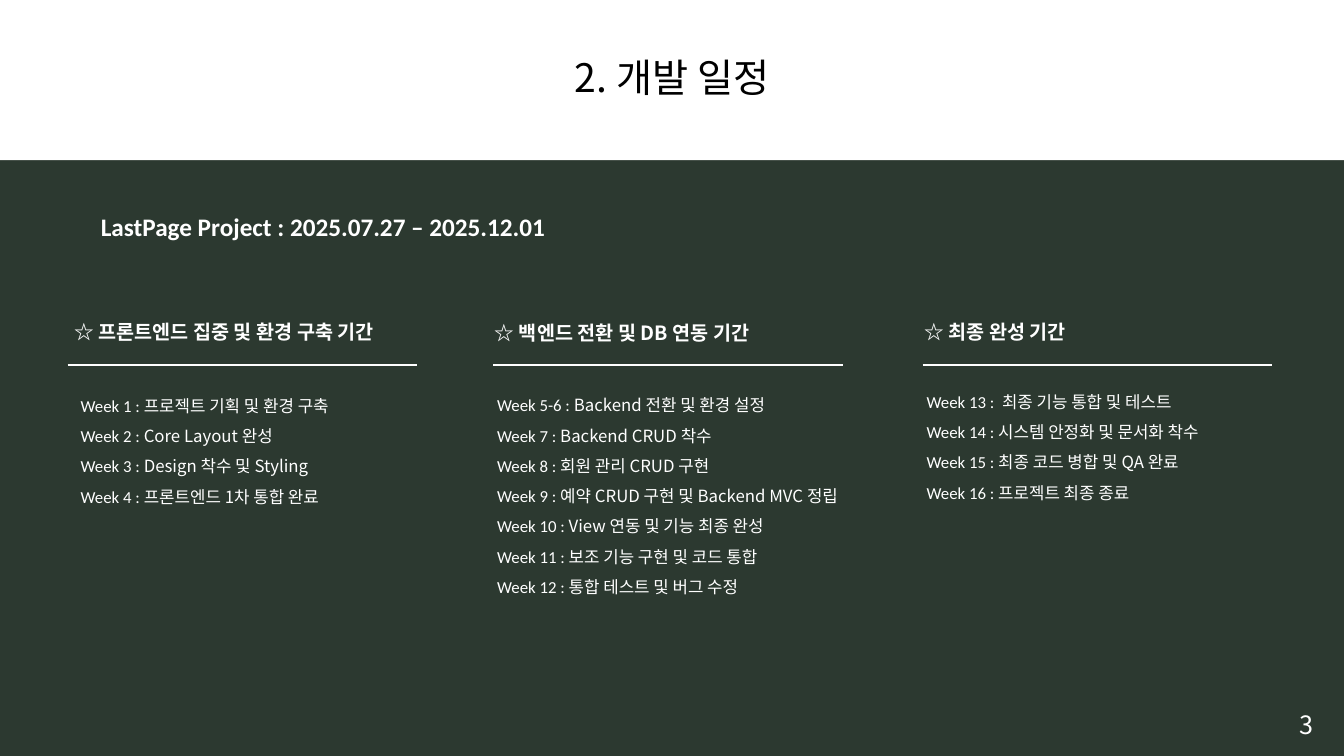
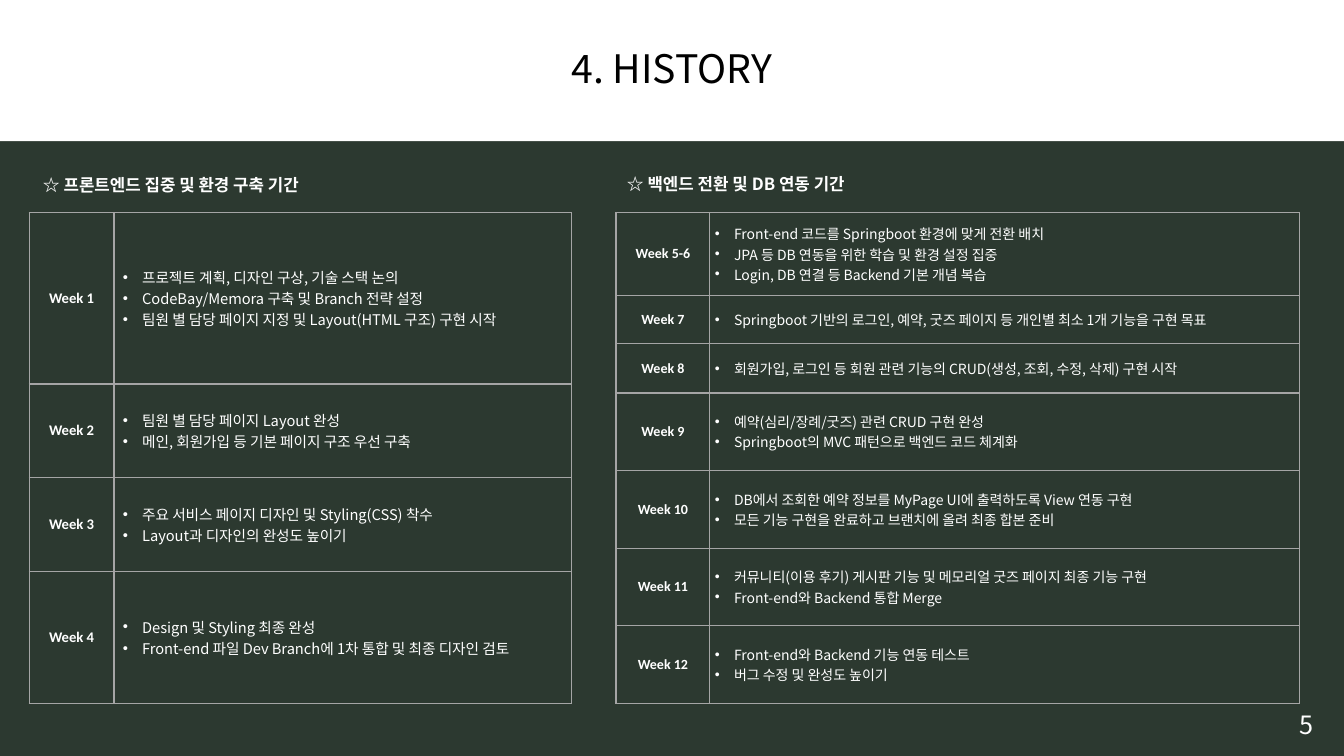
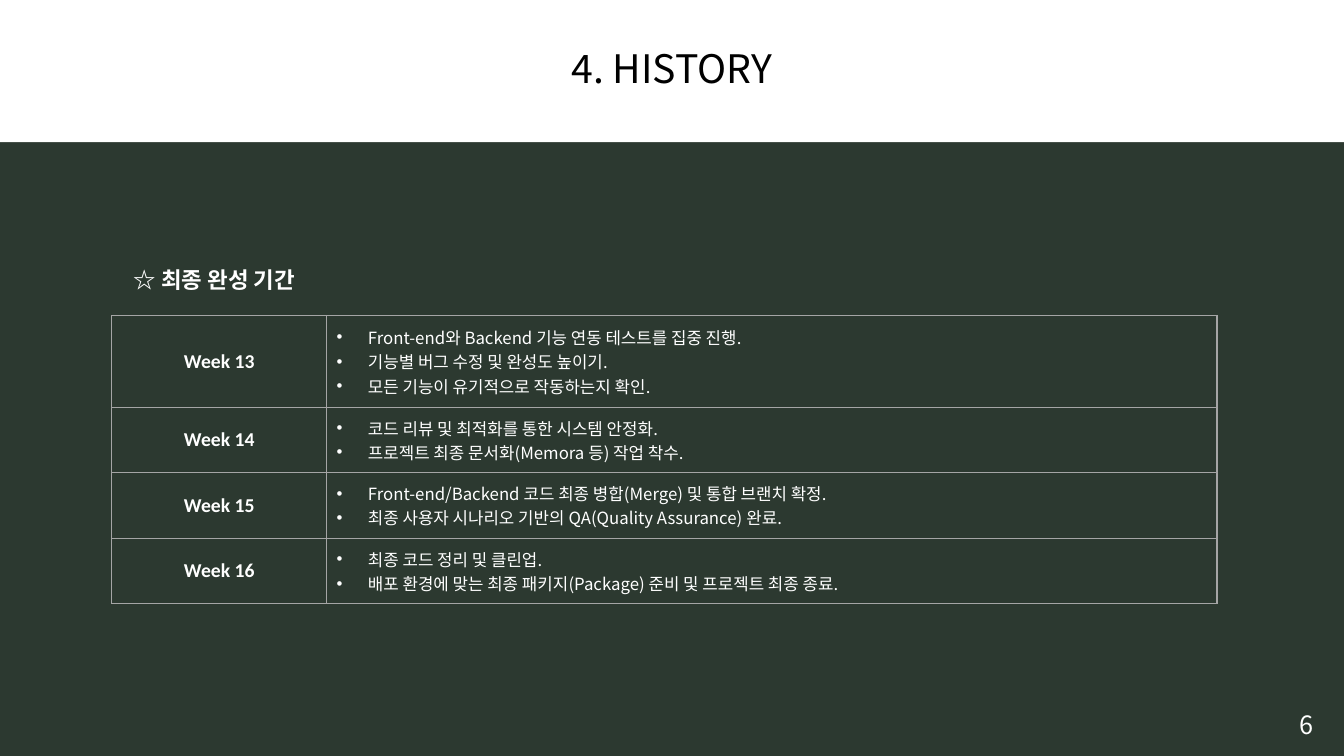
from lxml import etree
from pptx import Presentation
from pptx.dml.color import RGBColor
from pptx.enum.shapes import MSO_CONNECTOR
from pptx.enum.text import MSO_ANCHOR, PP_ALIGN
from pptx.oxml.ns import qn
from pptx.util import Emu, Pt

SCALE = 9144
WIDTH, HEIGHT = 1333, 750
COLORS = {
    "background": "2C3930",
    "band": "FFFFFF",
    "title": "000000",
    "text": "FFFFFF",
    "border": "A5A5A5",
}
LATIN, KOREAN = "Calibri", "Noto Sans CJK KR"
CENTER, LEFT = PP_ALIGN.CENTER, PP_ALIGN.LEFT
MIDDLE, TOP = MSO_ANCHOR.MIDDLE, MSO_ANCHOR.TOP
STRAIGHT = MSO_CONNECTOR.STRAIGHT
WIDE_INSETS, TIGHT_INSETS = (10, 5), (4, 4)

RULE_TOP, RULE_WIDTH = 362, 347
PHASES = [
    {
        "rule": 67,
        "heading": (64, 312, 352, 34),
        "name": "☆ 프론트엔드 집중 및 환경 구축 기간",
        "body": (76, 362, 329, 161),
        "weeks": [
            ("Week 1 : ", "프로젝트 기획 및 환경 구축"),
            ("Week 2 : ", "Core Layout 완성"),
            ("Week 3 : ", "Design 착수 및 Styling"),
            ("Week 4 : ", "프론트엔드 1차 통합 완료"),
        ],
    },
    {
        "rule": 489,
        "heading": (481, 313, 317, 34),
        "name": "☆ 백엔드 전환 및 DB 연동 기간",
        "body": (489, 377, 389, 220),
        "weeks": [
            ("Week 5-6 : ", "Backend 전환 및 환경 설정"),
            ("Week 7 : ", "Backend CRUD 착수"),
            ("Week 8 : ", "회원 관리 CRUD 구현"),
            ("Week 9 : ", "예약 CRUD 구현 및 Backend MVC 정립"),
            ("Week 10 : ", "View 연동 및 기능 최종 완성"),
            ("Week 11 : ", "보조 기능 구현 및 코드 통합"),
            ("Week 12 : ", "통합 테스트 및 버그 수정"),
        ],
    },
    {
        "rule": 915,
        "heading": (907, 312, 352, 34),
        "name": "☆ 최종 완성 기간",
        "body": (915, 384, 389, 109),
        "weeks": [
            ("Week 13 :  ", "최종 기능 통합 및 테스트"),
            ("Week 14 :", " 시스템 안정화 및 문서화 착수"),
            ("Week 15 : ", "최종 코드 병합 및 QA 완료"),
            ("Week 16 : ", "프로젝트 최종 종료"),
        ],
    },
]

FRONTEND_HISTORY = [
    (170, "Week 1", [
        "프로젝트 계획, 디자인 구상, 기술 스택 논의",
        "CodeBay/Memora 구축 및 Branch 전략 설정",
        "팀원 별 담당 페이지 지정 및 Layout(HTML 구조) 구현 시작",
    ]),
    (93, "Week 2", [
        "팀원 별 담당 페이지 Layout 완성",
        "메인, 회원가입 등 기본 페이지 구조 우선 구축",
    ]),
    (93, "Week 3", [
        "주요 서비스 페이지 디자인 및 Styling(CSS) 착수",
        "Layout과 디자인의 완성도 높이기",
    ]),
    (131, "Week 4", [
        "Design 및 Styling 최종 완성",
        "Front-end 파일 Dev Branch에 1차 통합 및 최종 디자인 검토",
    ]),
]

BACKEND_HISTORY = [
    (82, "Week 5-6", [
        "Front-end 코드를 Springboot 환경에 맞게 전환 배치",
        "JPA 등 DB 연동을 위한 학습 및 환경 설정 집중",
        "Login, DB 연결 등 Backend 기본 개념 복습",
    ]),
    (48, "Week 7", [
        "Springboot 기반의 로그인, 예약, 굿즈 페이지 등 개인별 최소 1개 기능을 구현 목표",
    ]),
    (49, "Week 8", [
        "회원가입, 로그인 등 회원 관련 기능의 CRUD(생성, 조회, 수정, 삭제) 구현 시작",
    ]),
    (77, "Week 9", [
        "예약(심리/장례/굿즈) 관련 CRUD 구현 완성",
        "Springboot의 MVC 패턴으로 백엔드 코드 체계화",
    ]),
    (77, "Week 10", [
        "DB에서 조회한 예약 정보를 MyPage UI에 출력하도록 View 연동 구현",
        "모든 기능 구현을 완료하고 브랜치에 올려 최종 합본 준비",
    ]),
    (77, "Week 11", [
        "커뮤니티(이용 후기) 게시판 기능 및 메모리얼 굿즈 페이지 최종 기능 구현",
        "Front-end와 Backend 통합 Merge",
    ]),
    (77, "Week 12", [
        "Front-end와 Backend 기능 연동 테스트",
        "버그 수정 및 완성도 높이기",
    ]),
]

FINAL_HISTORY = [
    (91, "Week 13", [
        "Front-end와 Backend 기능 연동 테스트를 집중 진행.",
        "기능별 버그 수정 및 완성도 높이기.",
        "모든 기능이 유기적으로 작동하는지 확인.",
    ]),
    (65, "Week 14", [
        "코드 리뷰 및 최적화를 통한 시스템 안정화.",
        "프로젝트 최종 문서화(Memora 등) 작업 착수.",
    ]),
    (65, "Week 15", [
        "Front-end/Backend 코드 최종 병합(Merge) 및 통합 브랜치 확정.",
        "최종 사용자 시나리오 기반의 QA(Quality Assurance) 완료.",
    ]),
    (65, "Week 16", [
        "최종 코드 정리 및 클린업.",
        "배포 환경에 맞는 최종 패키지(Package) 준비 및 프로젝트 최종 종료.",
    ]),
]


def px(length):
    """Turn a length in px into EMU."""
    return Emu(length * SCALE)


def color(name):
    """Look up a named colour."""
    return RGBColor.from_string(COLORS[name])


def add_span(para, text, size, font=KOREAN, bold=False, tint="text"):
    """Append one formatted run to a paragraph."""
    span = para.add_run()
    span.text = text
    span.font.size = Pt(size)
    span.font.name = font
    span.font.bold = bold
    span.font.color.rgb = color(tint)
    east_asian = etree.SubElement(span.font._element, qn("a:ea"))
    east_asian.set("typeface", KOREAN)


def next_para(frame, index):
    """Give the first paragraph of a frame, or a new one after it."""
    return frame.add_paragraph() if index else frame.paragraphs[0]


def set_insets(target, insets):
    """Set the side and the top and bottom margins of a frame or cell."""
    side, end = insets
    target.margin_left = target.margin_right = px(side)
    target.margin_top = target.margin_bottom = px(end)


def add_text(page, place, lines, align=LEFT, anchor=TOP, spacing=None,
             insets=WIDE_INSETS):
    """Add a text box whose lines are lists of run settings."""
    box = page.shapes.add_textbox(*map(px, place))
    frame = box.text_frame
    frame.word_wrap = True
    frame.vertical_anchor = anchor
    set_insets(frame, insets)
    for index, line in enumerate(lines):
        para = next_para(frame, index)
        para.alignment = align
        para.line_spacing = spacing
        for span in line:
            add_span(para, **span)


def add_heading(page, place, text, size):
    """Add the bold name of a project phase."""
    add_text(page, place, [[{"text": text, "size": size, "bold": True}]])


def add_rule(page, left, top, width):
    """Add a thin horizontal line."""
    ends = map(px, (left, top, left + width, top))
    rule = page.shapes.add_connector(STRAIGHT, *ends)
    rule.line.color.rgb = color("text")
    rule.line.width = Pt(1)
    etree.SubElement(rule._element.spPr, qn("a:effectLst"))


def add_page(deck, title, band_height, number):
    """Add a slide with its title band and page number."""
    page = deck.slides.add_slide(deck.slide_layouts[5])
    band = page.shapes.title
    band.left, band.top = px(0), px(0)
    band.width, band.height = px(WIDTH), px(band_height)
    band.fill.solid()
    band.fill.fore_color.rgb = color("band")
    frame = band.text_frame
    frame.vertical_anchor = MIDDLE
    para = frame.paragraphs[0]
    para.alignment = CENTER
    para.line_spacing = 0.9
    add_span(para, title, 28, tint="title")
    add_text(page, (1259, 699, 74, 40),
             [[{"text": str(number), "size": 18}]], align=CENTER)
    return page


def set_bullet(para, indent):
    """Give a paragraph a hanging bullet."""
    settings = para._p.get_or_add_pPr()
    settings.set("marL", str(px(indent)))
    settings.set("indent", str(px(-indent)))
    etree.SubElement(settings, qn("a:buFont")).set("typeface", "Arial")
    etree.SubElement(settings, qn("a:buChar")).set("char", "•")


def format_cell(cell, insets):
    """Set the borders, fill and margins of a cell."""
    settings = cell._tc.get_or_add_tcPr()
    for side in ("lnL", "lnR", "lnT", "lnB"):
        border = etree.SubElement(settings, qn(f"a:{side}"), w=str(Pt(1)))
        fill = etree.SubElement(border, qn("a:solidFill"))
        etree.SubElement(fill, qn("a:srgbClr"), val=COLORS["border"])
    cell.fill.solid()
    cell.fill.fore_color.rgb = color("background")
    cell.vertical_anchor = MIDDLE
    set_insets(cell, insets)


def add_history(page, left, top, widths, weeks, sizes, indent=19,
                insets=WIDE_INSETS):
    """Add a table of weeks and their bulleted tasks."""
    height = sum(week[0] for week in weeks)
    place = map(px, (left, top, sum(widths), height))
    table = page.shapes.add_table(len(weeks), len(widths), *place).table
    table.first_row = table.horz_banding = False
    for column, width in zip(table.columns, widths):
        column.width = px(width)
    label_size, task_size = sizes
    for row, (row_height, label, tasks) in zip(table.rows, weeks):
        row.height = px(row_height)
        label_cell, task_cell = row.cells
        for cell in (label_cell, task_cell):
            format_cell(cell, insets)
        para = label_cell.text_frame.paragraphs[0]
        para.alignment = CENTER
        add_span(para, label, label_size, LATIN, bold=True)
        for index, task in enumerate(tasks):
            para = next_para(task_cell.text_frame, index)
            set_bullet(para, indent)
            add_span(para, task, task_size)


def add_phase(page, phase):
    """Add one schedule column with its heading, rule and weeks."""
    add_heading(page, phase["heading"], phase["name"], 14)
    add_rule(page, phase["rule"], RULE_TOP, RULE_WIDTH)
    lines = [
        [{"text": label, "size": 12, "font": LATIN}, {"text": task, "size": 12}]
        for label, task in phase["weeks"]
    ]
    add_text(page, phase["body"], lines, anchor=MIDDLE, spacing=1.5,
             insets=TIGHT_INSETS)


def build_schedule(deck):
    """Build the schedule slide."""
    page = add_page(deck, "2. 개발 일정", 159, 3)
    period = {"text": "LastPage Project : 2025.07.27 – 2025.12.01",
              "size": 18, "font": LATIN, "bold": True}
    add_text(page, (14, 201, 613, 52), [[period]], CENTER, MIDDLE,
             Pt(17.7), TIGHT_INSETS)
    for phase in PHASES:
        add_phase(page, phase)


def build_history(deck):
    """Build the slide of front-end and back-end weeks."""
    page = add_page(deck, "4. HISTORY", 140, 5)
    add_history(page, 29, 211, (84, 454), FRONTEND_HISTORY, (10.5, 10.5),
                insets=(9, 4))
    add_history(page, 611, 211, (93, 585), BACKEND_HISTORY, (10, 10),
                insets=(5, 2))
    add_heading(page, (29, 168, 352, 30), " " + PHASES[0]["name"], 12)
    add_heading(page, (612, 167, 340, 30), PHASES[1]["name"], 12)


def build_final_history(deck):
    """Build the slide of closing weeks."""
    page = add_page(deck, "4. HISTORY", 141, 6)
    add_heading(page, (123, 259, 352, 37), PHASES[2]["name"], 16)
    add_history(page, 111, 313, (213, 883), FINAL_HISTORY, (14, 12), indent=31)


def main():
    """Build and save the deck."""
    deck = Presentation()
    deck.slide_width, deck.slide_height = px(WIDTH), px(HEIGHT)
    backdrop = deck.slide_layouts[5].background.fill
    backdrop.solid()
    backdrop.fore_color.rgb = color("background")
    build_schedule(deck)
    build_history(deck)
    build_final_history(deck)
    deck.save("out.pptx")


if __name__ == "__main__":
    main()
